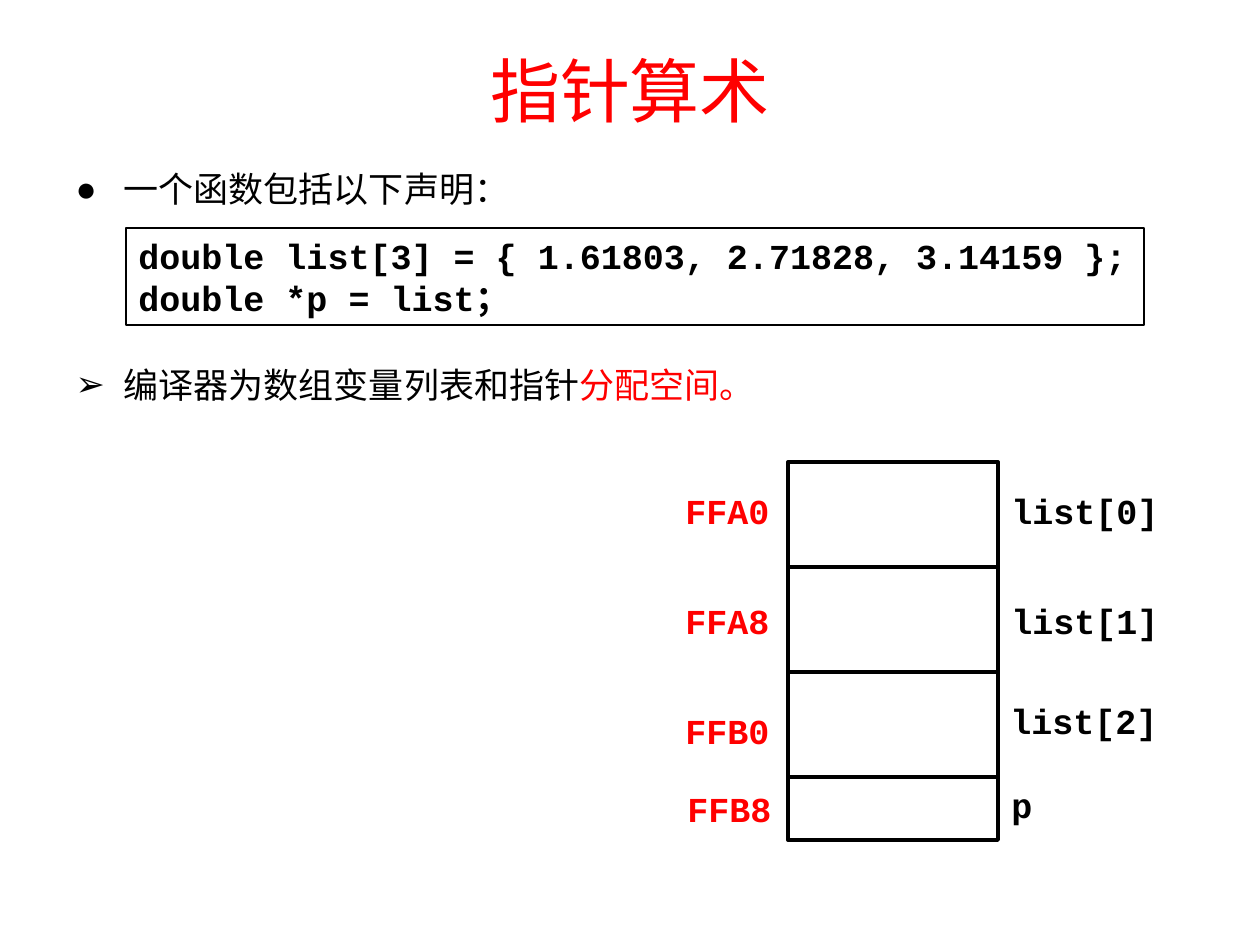
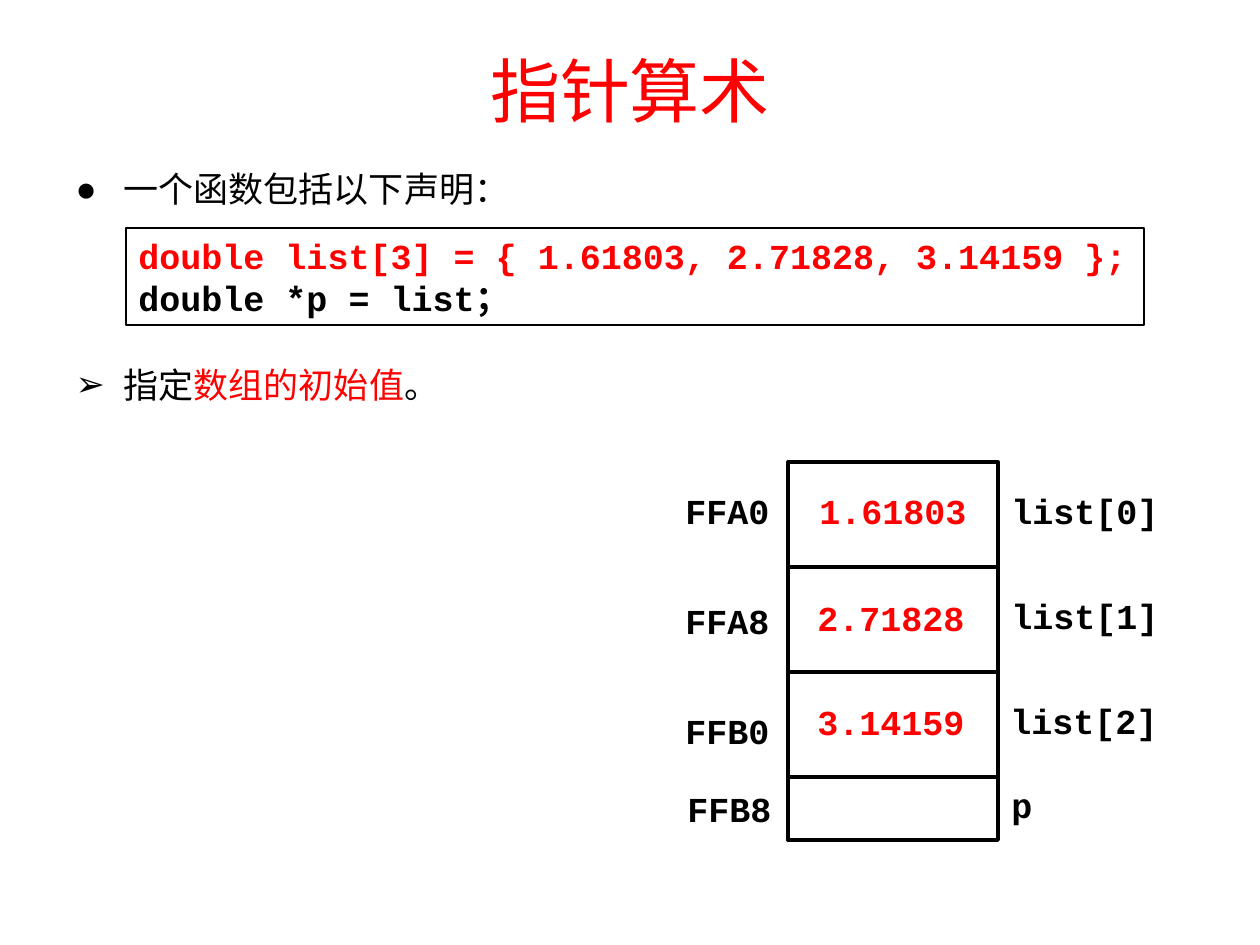
from lxml.etree import SubElement
from pptx import Presentation
from pptx.dml.color import RGBColor
from pptx.enum.shapes import MSO_CONNECTOR, MSO_SHAPE
from pptx.enum.text import MSO_ANCHOR, MSO_AUTO_SIZE, PP_ALIGN
from pptx.oxml.ns import qn
from pptx.util import Emu, Pt

PX_PER_INCH = 126
COLORS = {"black": "000000", "red": "FF0000", "white": "FFFFFF"}
TITLE_FONT = {"name": "Times New Roman", "size": Pt(40), "bold": False}
LIST_FONT = {"name": "Arial", "size": Pt(20), "bold": False}
CODE_FONT = {"name": "Courier New", "size": Pt(20), "bold": True}
LABEL_PARA = {"space_before": Pt(0), "space_after": Pt(12)}
BULLET_INDENT = 48
ROW_H = 105
TITLE_BOX = (0, 10, 1260, 158)
INTRO_BOX = (63, 168, 1166, 53)
CODE_BOX = (126, 228, 1018, 97)
NOTE_BOX = (63, 357, 1081, 116)
MEMORY_BOX = (788, 462, 210, 378)
ADDRESSES = [("FFA0", -115, 21), ("FFA8", -115, 131),
             ("FFB0", -115, 241), ("FFB8", -113, 319)]
VALUES = [("1.61803", 0, 21), ("2.71828", -2, 128), ("3.14159", -2, 232)]


def px(n):
    return Emu(round(n * 914400 / PX_PER_INCH))


def rgb(color):
    return RGBColor.from_string(COLORS[color])


def apply(target, values):
    for key, value in values.items():
        setattr(target, key, value)


def place(shape, box):
    apply(shape, dict(zip(("left", "top", "width", "height"), map(px, box))))


def write(p, runs, font, para):
    apply(p, para)
    for text, color in runs:
        r = p.add_run()
        r.text = text
        apply(r.font, font)
        r.font.color.rgb = rgb(color)


def add_title(s, box):
    title = s.shapes.title
    place(title, box)
    apply(title.text_frame, {"vertical_anchor": MSO_ANCHOR.MIDDLE,
                             "auto_size": MSO_AUTO_SIZE.NONE})
    write(title.text_frame.paragraphs[0], [("指针算术", "red")], TITLE_FONT,
          {"alignment": PP_ALIGN.CENTER})


def add_bullet(body, box, mark, runs, line_spacing):
    place(body, box)
    tf = body.text_frame
    apply(tf, {"vertical_anchor": MSO_ANCHOR.TOP,
               "auto_size": MSO_AUTO_SIZE.NONE})
    p = tf.paragraphs[0]
    write(p, runs, LIST_FONT, {**LABEL_PARA, "line_spacing": line_spacing})
    pPr = p._p.get_or_add_pPr()
    pPr.set("marL", str(px(BULLET_INDENT)))
    pPr.set("indent", str(-px(BULLET_INDENT)))
    SubElement(pPr, qn("a:buChar")).set("char", mark)


def add_box(s, box, line_width):
    sp = s.shapes.add_shape(MSO_SHAPE.RECTANGLE, *map(px, box))
    sp.shadow.inherit = False
    sp.line.color.rgb = rgb("black")
    sp.line.width = Pt(line_width)
    return sp


def add_code(s, box, array_color):
    sp = add_box(s, box, 0.75)
    sp.fill.solid()
    sp.fill.fore_color.rgb = rgb("white")
    tf = sp.text_frame
    apply(tf, {"word_wrap": True, "vertical_anchor": MSO_ANCHOR.TOP,
               "auto_size": MSO_AUTO_SIZE.SHAPE_TO_FIT_TEXT})
    left = {"alignment": PP_ALIGN.LEFT}
    write(tf.paragraphs[0],
          [("double list[3] = { 1.61803, 2.71828, 3.14159 };", array_color)],
          CODE_FONT, left)
    write(tf.add_paragraph(), [("double *p = list；", "black")],
          CODE_FONT, left)


def add_labels(s, box, labels, width, color, align=PP_ALIGN.LEFT):
    x, y = box[:2]
    for text, dx, dy in labels:
        sp = s.shapes.add_textbox(*map(px, (x + dx, y + dy, width, 63)))
        sp.text_frame.word_wrap = True
        write(sp.text_frame.paragraphs[0], [(text, color)], CODE_FONT,
              {**LABEL_PARA, "alignment": align})


def add_memory(s, box, address_color, second_name_y, values):
    x, y, w, h = box
    add_box(s, box, 2.25).fill.background()
    for i in range(1, 4):
        row_y = y + i * ROW_H
        line = s.shapes.add_connector(MSO_CONNECTOR.STRAIGHT,
                                      *map(px, (x, row_y, x + w, row_y)))
        line.line.color.rgb = rgb("black")
        line.line.width = Pt(2.25)
        SubElement(line._element.spPr, qn("a:effectLst"))
    names = [("list[0]", 211, 21), ("list[1]", 211, second_name_y),
             ("list[2]", 210, 231), ("p", 211, 315)]
    add_labels(s, box, names, 174, "black")
    add_labels(s, box, ADDRESSES, 116, address_color)
    add_labels(s, box, values, w, "red", PP_ALIGN.CENTER)


def add_pointer_slide(prs, note, array_color, address_color, second_name_y,
                      values):
    s = prs.slides.add_slide(prs.slide_layouts.get_by_name("Two Content"))
    intro_body, note_body = list(s.placeholders)[1:]
    add_title(s, TITLE_BOX)
    add_bullet(intro_body, INTRO_BOX, "●",
               [("一个函数包括以下声明：", "black")], 0.85)
    add_code(s, CODE_BOX, array_color)
    add_bullet(note_body, NOTE_BOX, "➢", note, 1.0)
    add_memory(s, MEMORY_BOX, address_color, second_name_y, values)


def main():
    prs = Presentation()
    prs.slide_width, prs.slide_height = px(1260), px(945)
    add_pointer_slide(
        prs, [("编译器为数组变量列表和指针", "black"), ("分配空间。", "red")],
        "black", "red", 131, [])
    add_pointer_slide(
        prs, [("指定", "black"), ("数组的初始值", "red"), ("。", "black")],
        "red", "black", 126, VALUES)
    prs.save("out.pptx")


if __name__ == "__main__":
    main()
